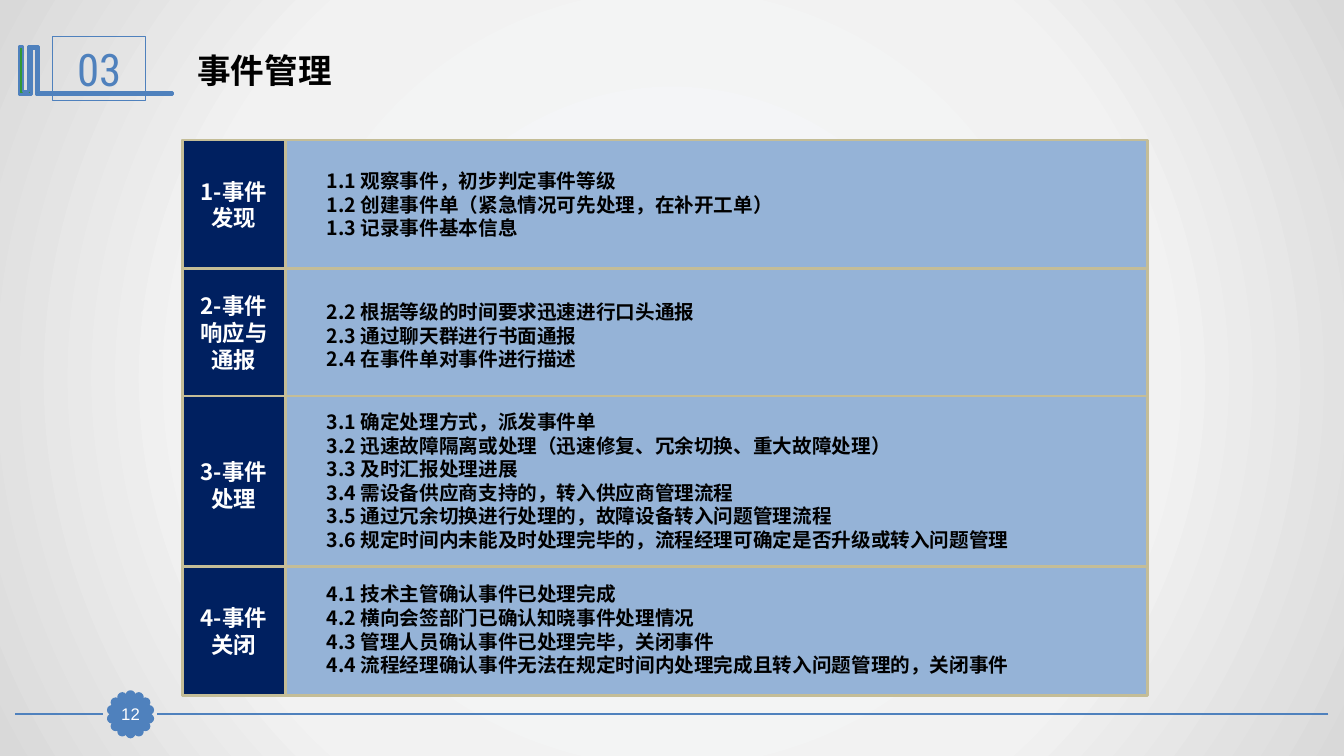
from math import cos, pi, sin
from pptx import Presentation
from pptx.dml.color import RGBColor
from pptx.enum.shapes import MSO_CONNECTOR, MSO_SHAPE
from pptx.enum.text import MSO_ANCHOR, MSO_AUTO_SIZE, PP_ALIGN
from pptx.oxml import parse_xml
from pptx.oxml.ns import nsdecls, qn
from pptx.util import Cm, Pt

RECT, OVAL = MSO_SHAPE.RECTANGLE, MSO_SHAPE.OVAL
STRAIGHT = MSO_CONNECTOR.STRAIGHT
TOP, MIDDLE = MSO_ANCHOR.TOP, MSO_ANCHOR.MIDDLE
LEFT, CENTER = PP_ALIGN.LEFT, PP_ALIGN.CENTER
NO_FIT = MSO_AUTO_SIZE.NONE

BLUE = RGBColor(0x4F, 0x81, 0xBD)
SKY = RGBColor(0x95, 0xB3, 0xD7)
NAVY = RGBColor(0x00, 0x20, 0x60)
SAND = RGBColor(0xC4, 0xBD, 0x97)
GREEN = RGBColor(0x33, 0x99, 0x33)
WHITE = RGBColor(0xFF, 0xFF, 0xFF)
BLACK = RGBColor(0x00, 0x00, 0x00)
GLOW = ((0, "F6F9FC"), (63, "F2F2F2"), (100, "D9D9D9"))
HAN = "Noto Sans CJK SC"

HEAD = {"name": "Arial", "size": Pt(24), "bold": True}
MARK = {"name": "Roboto Condensed", "size": Pt(32), "bold": False}
PAGE = {"name": "Arial", "size": Pt(12), "bold": False}
LABEL = {"name": HAN, "size": Pt(16), "bold": True}
BODY = {"name": HAN, "size": Pt(14), "bold": True}

STEPS = [
    (3.53, 3.25, 0.61, "1-事件发现", [
        "1.1 观察事件，初步判定事件等级",
        "1.2 创建事件单（紧急情况可先处理，在补开工单）",
        "1.3 记录事件基本信息"]),
    (6.76, 3.25, 0.68, "2-事件响应与通报", [
        "2.2 根据等级的时间要求迅速进行口头通报",
        "2.3 通过聊天群进行书面通报",
        "2.4 在事件单对事件进行描述"]),
    (9.98, 4.47, 0.23, "3-事件处理", [
        "3.1 确定处理方式，派发事件单",
        "3.2 迅速故障隔离或处理（迅速修复、冗余切换、重大故障处理）",
        "3.3 及时汇报处理进展",
        "3.4 需设备供应商支持的，转入供应商管理流程",
        "3.5 通过冗余切换进行处理的，故障设备转入问题管理流程",
        "3.6 规定时间内未能及时处理完毕的，流程经理可确定是否升级或转入问题管理"]),
    (14.27, 3.25, 0.28, "4-事件关闭", [
        "4.1 技术主管确认事件已处理完成",
        "4.2 横向会签部门已确认知晓事件处理情况",
        "4.3 管理人员确认事件已处理完毕，关闭事件",
        "4.4 流程经理确认事件无法在规定时间内处理完成且转入问题管理的，关闭事件"]),
]


def paint(shape, fill, line, width):
    shape.shadow.inherit = False
    if fill is None:
        shape.fill.background()
    else:
        shape.fill.solid()
        shape.fill.fore_color.rgb = fill
    shape.line.color.rgb = line
    shape.line.width = Pt(width)


def add_box(slide, kind, box, fill, line, width):
    shape = slide.shapes.add_shape(kind, *map(Cm, box))
    paint(shape, fill, line, width)
    return shape


def write(shape, lines, style, color, align=CENTER, anchor=MIDDLE):
    frame = shape.text_frame
    for key, value in {"word_wrap": True, "auto_size": NO_FIT,
                       "vertical_anchor": anchor}.items():
        setattr(frame, key, value)
    for i, line in enumerate(lines):
        para = frame.add_paragraph() if i else frame.paragraphs[0]
        para.alignment = align
        para.line_spacing = Pt(style["size"].pt * 1.2)
        run = para.add_run()
        run.text = line
        for key, value in style.items():
            setattr(run.font, key, value)
        run.font.color.rgb = color
        props = run.font._element
        props.get_or_add_latin().addnext(
            parse_xml(f'<a:ea {nsdecls("a")} typeface="{HAN}"/>'))


def add_glow(slide):
    slide.background.fill.gradient()
    grad = slide.element.find(".//" + qn("a:gradFill"))
    stops = "".join(f'<a:gs pos="{pos * 1000}"><a:srgbClr val="{tint}"/></a:gs>'
                    for pos, tint in GLOW)
    grad.getparent().replace(grad, parse_xml(
        f'<a:gradFill {nsdecls("a")} rotWithShape="1"><a:gsLst>{stops}</a:gsLst>'
        '<a:path path="circle"><a:fillToRect l="50000" t="50000" r="50000" '
        'b="50000"/></a:path></a:gradFill>'))


def add_rule(slide, start, end, y):
    rule = slide.shapes.add_connector(STRAIGHT, Cm(start), Cm(y), Cm(end), Cm(y))
    rule.line.color.rgb = BLUE
    rule.line.width = Pt(1.25)
    rule._element.spPr.append(parse_xml(f'<a:effectLst {nsdecls("a")}/>'))


def add_foot(slide, x, y, number):
    add_rule(slide, 33.48, x + 0.67, y)
    add_rule(slide, x - 0.7, 0.38, y)
    count, ring, dot = 14, 0.48, 0.18
    for i in range(count):
        turn = 2 * pi * i / count
        left = x + ring * sin(turn) - dot / 2
        top = y - ring * cos(turn) - dot / 2
        add_box(slide, OVAL, (left, top, dot, dot), BLUE, BLUE, 2)
    page = add_box(slide, RECT, (x - 0.41, y - 0.4, 0.82, 0.8), BLUE, BLUE, 0.75)
    for side in ("left", "right", "top", "bottom"):
        setattr(page.text_frame, "margin_" + side, 0)
    write(page, [number], PAGE, WHITE)


def add_mark(slide, x, y, number):
    dots = [(0.46, 0), (0.49, 0), (0.49, 1.17), (3.86, 1.17), (3.86, 1.22),
            (0.46, 1.22), (0.43, 1.22), (0.43, 0.05), (0.31, 0.05),
            (0.31, 1.22), (0, 1.22), (0, 0), (0.1, 0), (0.1, 1.14),
            (0.23, 1.14), (0.23, 0)]
    dots = [(Cm(x + dx), Cm(y + dy)) for dx, dy in dots]
    form = slide.shapes.build_freeform(*dots[0])
    form.add_line_segments(dots[1:], close=True)
    paint(form.convert_to_shape(), GREEN, BLUE, 2)
    frame = add_box(slide, RECT, (x + 0.84, y - 0.26, 2.36, 1.63), None, BLUE, 0.75)
    write(frame, [number], MARK, BLUE)


def add_title(slide, box, text):
    title = slide.shapes.title
    for key, value in zip(("left", "top", "width", "height"), box):
        setattr(title, key, Cm(value))
    write(title, [text], HEAD, BLACK, LEFT)


def add_step(slide, box, inset, name, lines):
    x, y, width, height = box
    add_box(slide, RECT, box, SKY, SAND, 2)
    label = add_box(slide, RECT, (x, y, 2.59, height), NAVY, SAND, 2)
    write(label, [name], LABEL, WHITE)
    area = (x + 3.38, y + inset, 19.53, 0.6 * len(lines) + 0.25)
    body = slide.shapes.add_textbox(*map(Cm, area))
    write(body, lines, BODY, BLACK, LEFT, TOP)


def main():
    deck = Presentation()
    deck.slide_width, deck.slide_height = Cm(33.87), Cm(19.05)
    slide = deck.slides.add_slide(deck.slide_layouts[5])
    add_glow(slide)
    add_foot(slide, 3.29, 18, "12")
    add_mark(slide, 0.48, 1.17, "03")
    add_title(slide, (4.72, 1.12, 24.61, 1.27), "事件管理")
    for top, height, inset, name, lines in STEPS:
        add_step(slide, (4.6, top, 24.33, height), inset, name, lines)
    deck.save("out.pptx")


if __name__ == "__main__":
    main()
